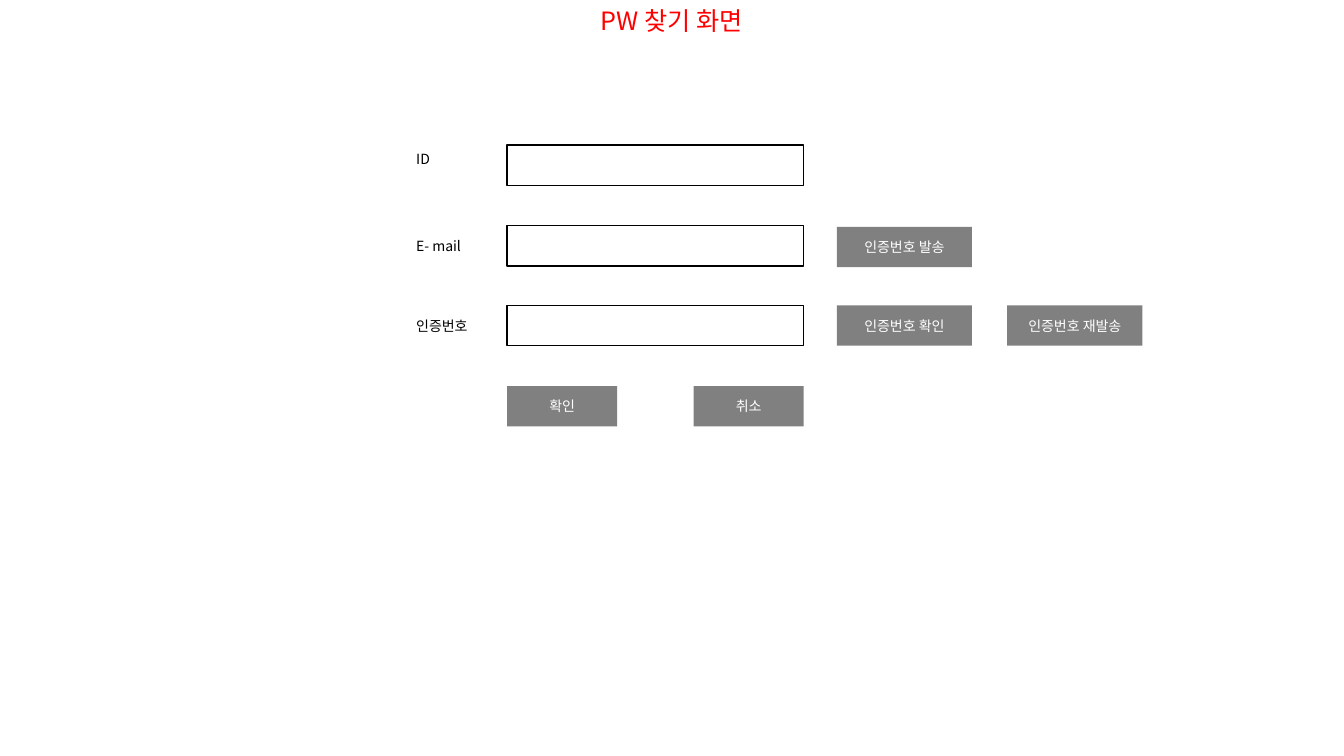
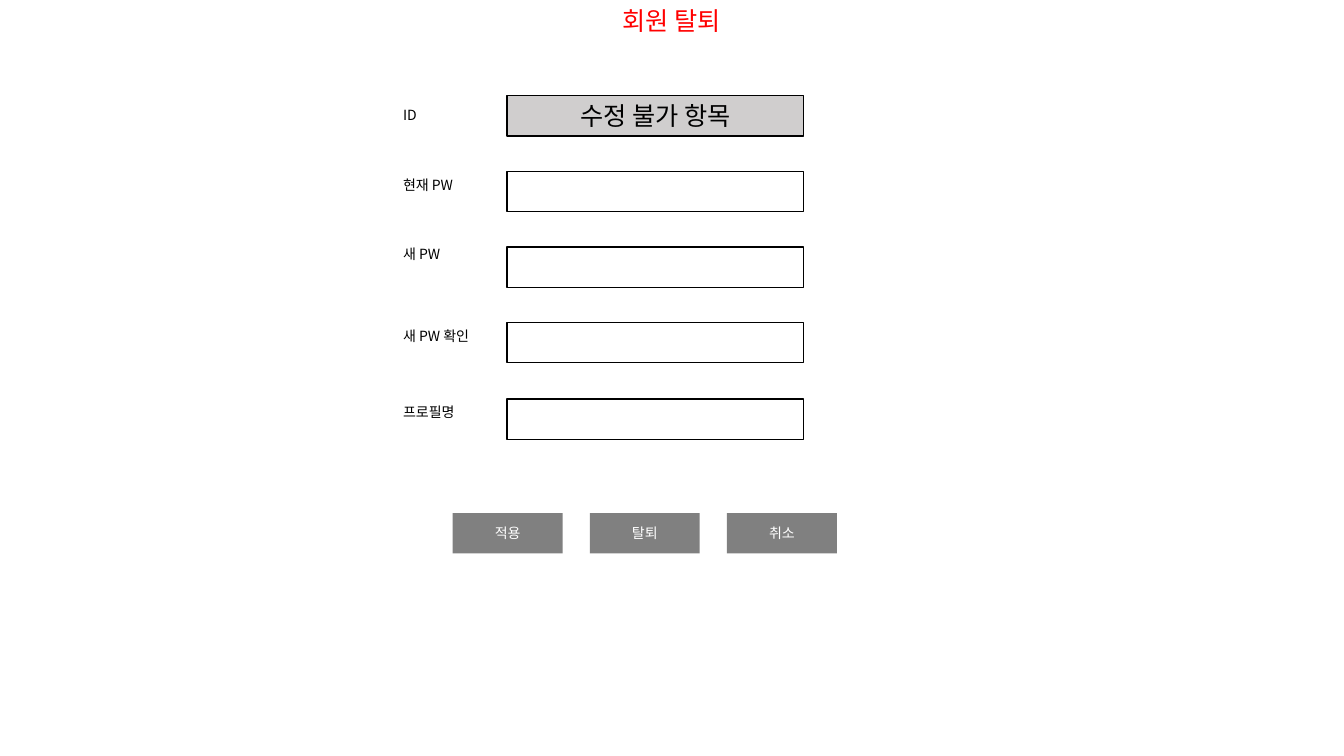
from lxml import etree
from pptx import Presentation
from pptx.dml.color import RGBColor
from pptx.enum.shapes import MSO_SHAPE
from pptx.enum.text import MSO_ANCHOR, MSO_AUTO_SIZE, PP_ALIGN
from pptx.oxml.ns import qn
from pptx.util import Inches, Pt

RECTANGLE = MSO_SHAPE.RECTANGLE
TOP, MIDDLE = MSO_ANCHOR.TOP, MSO_ANCHOR.MIDDLE
LEFT, CENTER = PP_ALIGN.LEFT, PP_ALIGN.CENTER
FIT_SHAPE = MSO_AUTO_SIZE.SHAPE_TO_FIT_TEXT
TITLE_ONLY = 5

FONT = "Noto Sans CJK KR"
COLORS = {"title": "FF0000", "ink": "000000", "button": "808080",
          "button_text": "FFFFFF", "locked": "D0CECE"}
SLIDE_WIDTH = 13.33
ROW_HEIGHT = 0.4
LABEL_HEIGHT = 0.27
FIELD_LEFT, FIELD_WIDTH = 5.03, 2.94
SMALL_BUTTON, WIDE_BUTTON = 1.09, 1.34

SCREENS = [
    {
        "title": "PW 찾기 화면",
        "label_left": 4.03,
        "label_width": 0.84,
        "rows": [("ID", 1.44, 1.44, ""), ("E- mail", 2.31, 2.24, ""),
                 ("인증번호", 3.1, 3.03, "")],
        "buttons": [("인증번호 발송", 8.3, 2.25, WIDE_BUTTON),
                    ("인증번호 확인", 8.3, 3.03, WIDE_BUTTON),
                    ("인증번호 재발송", 9.99, 3.03, WIDE_BUTTON),
                    ("확인", 5.03, 3.83, SMALL_BUTTON),
                    ("취소", 6.88, 3.83, SMALL_BUTTON)],
    },
    {
        "title": "회원 탈퇴",
        "label_left": 3.9,
        "label_width": 0.96,
        "rows": [("ID", 1.01, 0.95, "수정 불가 항목"), ("현재 PW", 1.7, 1.7, ""),
                 ("새 PW", 2.39, 2.45, ""), ("새 PW 확인", 3.2, 3.2, ""),
                 ("프로필명", 3.95, 3.96, "")],
        "buttons": [(name, 4.49 + 1.36 * index, 5.09, SMALL_BUTTON)
                    for index, name in enumerate(["적용", "탈퇴", "취소"])],
    },
]


def write_text(shape, text, size=10, color="ink", align=LEFT, anchor=TOP):
    frame = shape.text_frame
    frame.word_wrap = True
    frame.vertical_anchor = anchor
    paragraph = frame.paragraphs[0]
    paragraph.alignment = align
    run = paragraph.add_run()
    run.text = text
    run.font.size = Pt(size)
    run.font.name = FONT
    run.font.color.rgb = RGBColor.from_string(COLORS[color])
    east_asian = etree.SubElement(run.font._element, qn("a:ea"))
    east_asian.set("typeface", FONT)


def add_box(slide, left, top, width, fill=None, line=None):
    box = slide.shapes.add_shape(RECTANGLE, Inches(left), Inches(top),
                                 Inches(width), Inches(ROW_HEIGHT))
    box.shadow.inherit = False
    if fill:
        box.fill.solid()
        box.fill.fore_color.rgb = RGBColor.from_string(COLORS[fill])
    else:
        box.fill.background()
    if line:
        box.line.color.rgb = RGBColor.from_string(COLORS[line])
        box.line.width = Pt(1)
    else:
        box.line.fill.background()
    return box


presentation = Presentation()
presentation.slide_width = Inches(SLIDE_WIDTH)
presentation.slide_height = Inches(7.5)

for screen in SCREENS:
    slide = presentation.slides.add_slide(presentation.slide_layouts[TITLE_ONLY])
    title = slide.shapes.title
    title.left, title.top = Inches(0), Inches(0)
    title.width, title.height = Inches(SLIDE_WIDTH), Inches(ROW_HEIGHT)
    write_text(title, screen["title"], size=18, color="title", align=CENTER)
    title.text_frame.auto_size = FIT_SHAPE

    for name, label_top, field_top, content in screen["rows"]:
        label = slide.shapes.add_textbox(
            Inches(screen["label_left"]), Inches(label_top),
            Inches(screen["label_width"]), Inches(LABEL_HEIGHT))
        write_text(label, name)
        label.text_frame.auto_size = FIT_SHAPE
        field = add_box(slide, FIELD_LEFT, field_top, FIELD_WIDTH,
                        fill="locked" if content else None, line="ink")
        if content:
            write_text(field, content, size=18, align=CENTER, anchor=MIDDLE)

    for name, left, top, width in screen["buttons"]:
        button = add_box(slide, left, top, width, fill="button")
        write_text(button, name, color="button_text", align=CENTER, anchor=MIDDLE)

presentation.save("out.pptx")
